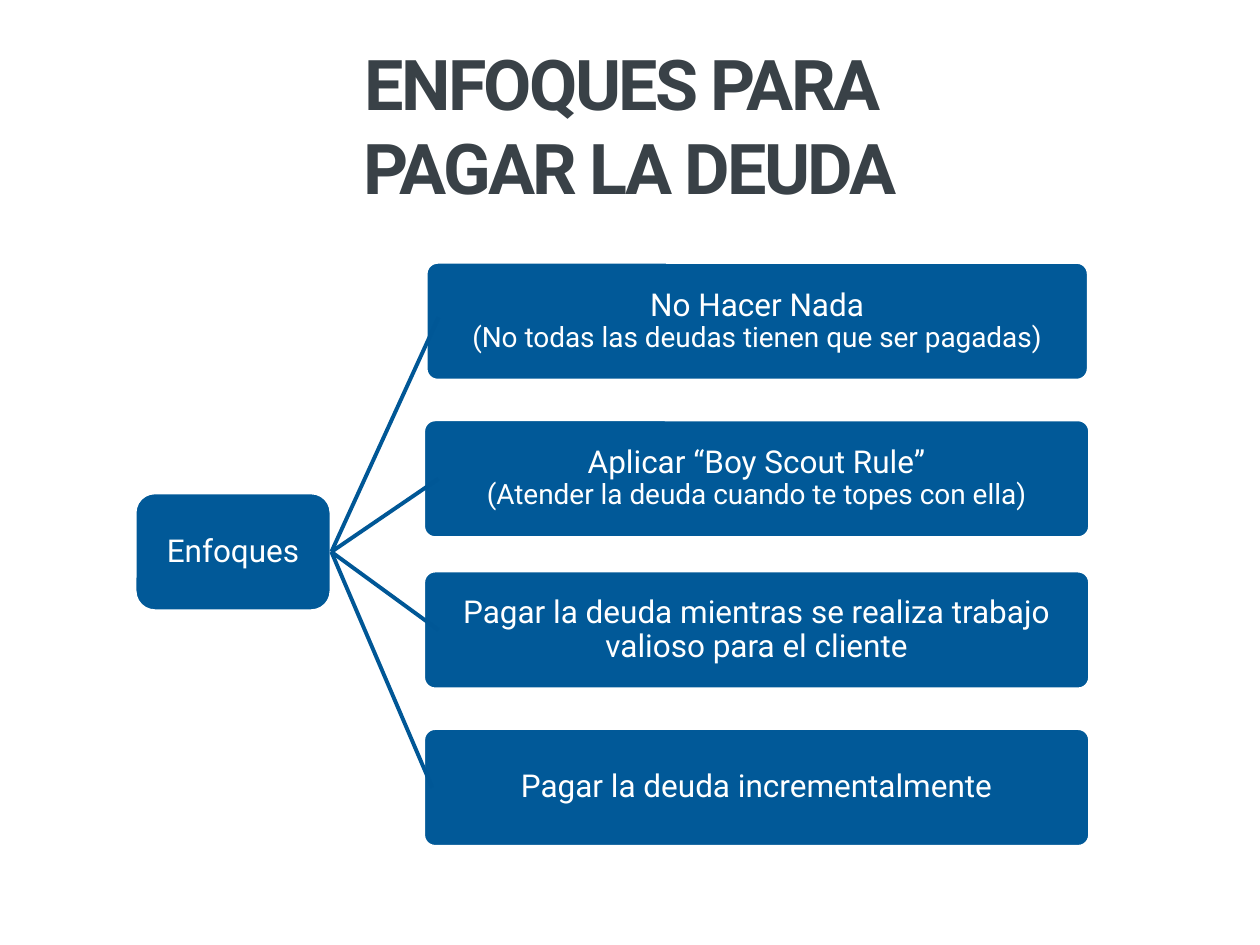
"""Build the slide on approaches to paying off technical debt."""
from pptx import Presentation
from pptx.dml.color import RGBColor
from pptx.enum.shapes import MSO_CONNECTOR, MSO_SHAPE
from pptx.enum.text import MSO_ANCHOR, MSO_AUTO_SIZE, PP_ALIGN
from pptx.oxml.ns import qn
from pptx.util import Inches, Pt

BLUE = RGBColor(0x01, 0x59, 0x98)
LINE_BLUE = RGBColor(0x00, 0x57, 0x96)
DARK = RGBColor(0x39, 0x41, 0x47)
WHITE = RGBColor(0xFF, 0xFF, 0xFF)
FONT = "Roboto"
BOX_HEIGHT = 0.94

APPROACHES = [
    (3.38, 2.08, 5.26, "No Hacer Nada\v(No todas las deudas tienen que ser pagadas)", 3.48, 2.52),
    (3.36, 3.33, 5.29, "Aplicar “Boy Scout Rule”\v(Atender la deuda cuando te topes con ella)", 3.48, 3.8),
    (3.36, 4.53, 5.29, "Pagar la deuda mientras se realiza trabajo valioso para el cliente", 3.48, 5),
    (3.36, 5.78, 5.29, "Pagar la deuda incrementalmente", 3.43, 6.25),
]


def format_paragraph(p, size, color):
    p.alignment = PP_ALIGN.CENTER
    p.font.name = FONT
    p.font.size = Pt(size)
    p.font.color.rgb = color


def add_box(slide, left, top, width, text, radius, inset):
    sp = slide.shapes.add_shape(
        MSO_SHAPE.ROUNDED_RECTANGLE, Inches(left), Inches(top), Inches(width), Inches(BOX_HEIGHT)
    )
    sp.adjustments[0] = radius
    sp.shadow.inherit = False
    sp.fill.solid()
    sp.fill.fore_color.rgb = BLUE
    sp.line.color.rgb = WHITE
    sp.line.width = Pt(2)
    tf = sp.text_frame
    tf.word_wrap = True
    tf.vertical_anchor = MSO_ANCHOR.MIDDLE
    tf.margin_left = tf.margin_right = Inches(inset)
    tf.margin_top = tf.margin_bottom = Inches(0.05)
    tf.text = text
    p = tf.paragraphs[0]
    p.line_spacing = 0.9
    format_paragraph(p, 18, WHITE)
    for r in p.runs[1:]:
        r.font.size = Pt(16)


prs = Presentation()
prs.slide_width = Inches(10)
prs.slide_height = Inches(7.5)
slide = prs.slides.add_slide(prs.slide_layouts[5])

title = slide.shapes.title
title.left, title.top = Inches(0.5), Inches(0.31)
title.width, title.height = Inches(9), Inches(1.36)
tf = title.text_frame
tf.auto_size = MSO_AUTO_SIZE.NONE
tf.vertical_anchor = MSO_ANCHOR.MIDDLE
tf.text = "ENFOQUES PARA \vPAGAR LA DEUDA"
p = tf.paragraphs[0]
format_paragraph(p, 40, DARK)
p.font.bold = True
for r in p.runs:
    r._r.get_or_add_rPr().set("spc", "-150")

add_box(slide, 1.07, 3.91, 1.56, "Enfoques", 0.17, 0.08)
for left, top, width, text, end_x, end_y in APPROACHES:
    add_box(slide, left, top, width, text, 0.1, 0.15)

for left, top, width, text, end_x, end_y in APPROACHES:
    line = slide.shapes.add_connector(
        MSO_CONNECTOR.STRAIGHT, Inches(2.63), Inches(4.38), Inches(end_x), Inches(end_y)
    )
    line.line.color.rgb = LINE_BLUE
    line.line.width = Pt(2.25)
    spPr = line._element.spPr
    spPr.append(spPr.makeelement(qn("a:effectLst"), {}))

prs.save("out.pptx")
